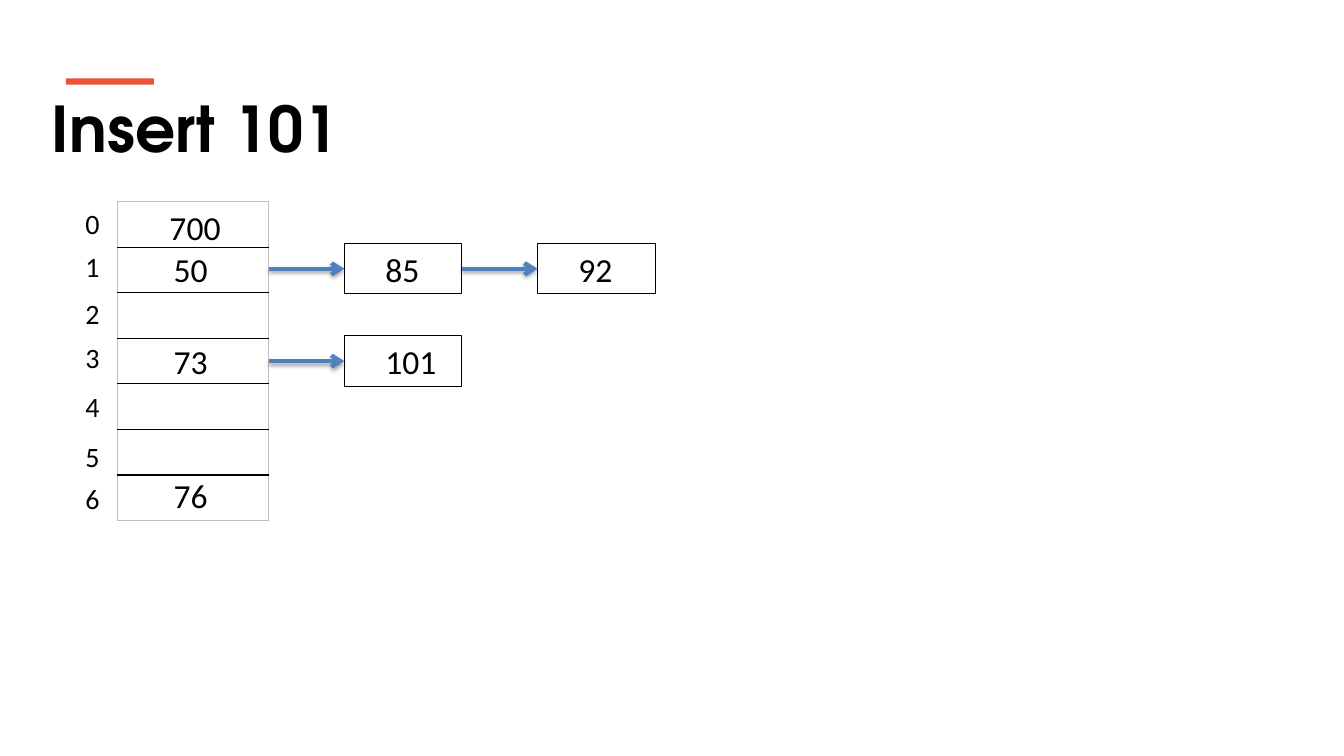
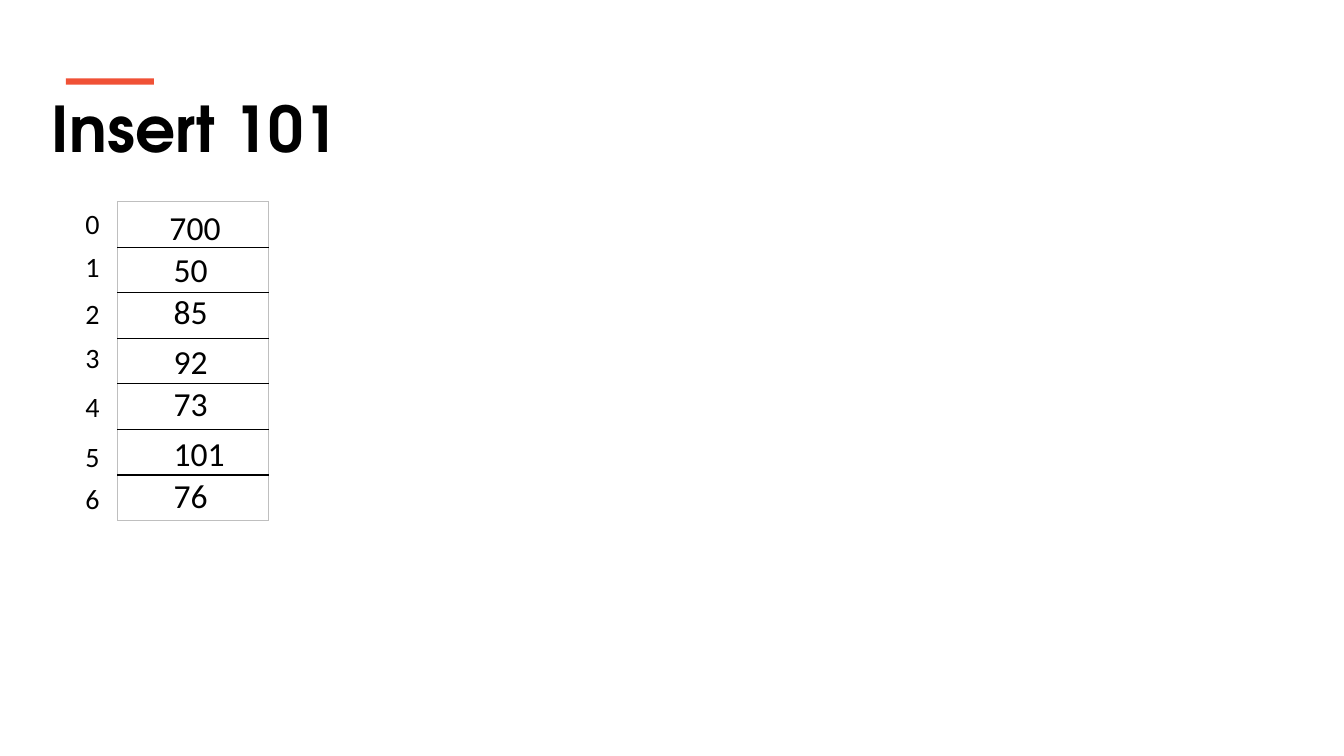
import dataclasses

import pptx
import pptx.dml.color
import pptx.enum.shapes
import pptx.enum.text
import pptx.oxml
import pptx.oxml.ns
import pptx.util

Pt = pptx.util.Pt
NAMESPACE = pptx.oxml.ns.nsdecls("a")


@dataclasses.dataclass(frozen=True)
class Theme:
    ink: str = "000000"
    accent: str = "F05136"
    arrow: str = "4F81BD"
    frame: str = "BFBFBF"
    title_font: str = "TeX Gyre Adventor"
    body_font: str = "Calibri"
    title_size: float = 45
    value_size: float = 24
    index_size: float = 20


THEME = Theme()
TITLE = {"name": THEME.title_font, "size": Pt(THEME.title_size), "bold": True}
VALUE = {"name": THEME.body_font, "size": Pt(THEME.value_size)}
INDEX = {"name": THEME.body_font, "size": Pt(THEME.index_size)}

PAGE_WIDTH, PAGE_HEIGHT = 960, 540
INSET = 7.2
DIGIT_WIDTH = 0.507
TABLE_LEFT, TABLE_TOP = 84, 144
SLOT_WIDTH, SLOT_HEIGHT = 108, 32.57
NODE_WIDTH, NODE_HEIGHT, ARROW_LENGTH = 84, 36, 54
NODE_INDENT = 22

# Tops are offsets from the top of the hash table.
INDEX_TOPS = (0, 31, 64.5, 96, 130.5, 166.5, 196.5)
VALUE_TOPS = (0, 30, 60, 96, 126, 162, 191.5)
VALUE_LEFTS = (30, 33, 33, 33, 33, 33, 33)

PAGES = (
    {
        "title": "Insert 101",
        "slots": ("700", "50", "", "73", "", "", "76"),
        "chains": {1: ("85", "92"), 3: ("101",)},
    },
    {
        "title": "Insert 101",
        "slots": ("700", "50", "85", "92", "73", "101", "76"),
        "chains": {},
    },
)


def apply_format(target, values):
    for name, value in values.items():
        setattr(target, name, value)


def color(code):
    return pptx.dml.color.RGBColor.from_string(code)


def write_text(shape, text, font, wrap=True, indent=0):
    apply_format(shape.text_frame, {
        "word_wrap": wrap,
        "vertical_anchor": pptx.enum.text.MSO_ANCHOR.TOP,
        "margin_left": Pt(INSET + indent),
    })
    para = shape.text_frame.paragraphs[0]
    para.alignment = pptx.enum.text.PP_ALIGN.LEFT
    span = para.add_run()
    span.text = text
    apply_format(span.font, font)
    span.font.color.rgb = color(THEME.ink)


def add_number(page, left, top, text, font):
    """Place a number in a box just wide enough for its digits."""
    size = font["size"].pt
    width = 2 * INSET + len(text) * size * DIGIT_WIDTH
    height = INSET + size * 1.22
    box = page.shapes.add_textbox(Pt(left), Pt(top), Pt(width), Pt(height))
    write_text(box, text, font, wrap=False)


def add_rectangle(page, left, top, width, height):
    shape = page.shapes.add_shape(
        pptx.enum.shapes.MSO_SHAPE.RECTANGLE,
        Pt(left), Pt(top), Pt(width), Pt(height))
    shape.shadow.inherit = False
    return shape


def add_heading(page, left, top, text):
    box = page.shapes.add_textbox(Pt(left), Pt(top), Pt(877), Pt(62))
    write_text(box, text, TITLE)
    bar = add_rectangle(page, left + 17, top - 4.5, 63, 4.5)
    bar.fill.solid()
    bar.fill.fore_color.rgb = color(THEME.accent)
    bar.line.fill.background()


def set_border(cell, side, code, width):
    cell._tc.get_or_add_tcPr().append(pptx.oxml.parse_xml(
        f'<a:{side} {NAMESPACE} w="{Pt(width)}"><a:solidFill>'
        f'<a:srgbClr val="{code}"/></a:solidFill></a:{side}>'))


def add_slot_table(page, left, top, count):
    frame = page.shapes.add_table(
        count, 1, Pt(left), Pt(top), Pt(SLOT_WIDTH), Pt(SLOT_HEIGHT * count))
    table = frame.table
    apply_format(table, {"first_row": False, "horz_banding": False})
    outer, inner = (THEME.frame, 0.75), (THEME.ink, 1)
    for number, row in enumerate(table.rows):
        row.height = Pt(SLOT_HEIGHT)
        cell = row.cells[0]
        borders = {
            "lnL": outer,
            "lnR": outer,
            "lnT": inner if number else outer,
            "lnB": inner if number < count - 1 else outer,
        }
        for side, (code, width) in borders.items():
            set_border(cell, side, code, width)
        cell.fill.background()


def add_arrow(page, left, middle):
    arrow = page.shapes.add_connector(
        pptx.enum.shapes.MSO_CONNECTOR.STRAIGHT,
        Pt(left), Pt(middle), Pt(left + ARROW_LENGTH), Pt(middle))
    arrow.line.color.rgb = color(THEME.arrow)
    arrow.line.width = Pt(3)
    arrow.line._get_or_add_ln().append(
        pptx.oxml.parse_xml(f'<a:tailEnd {NAMESPACE} type="arrow"/>'))
    arrow._element.spPr.append(pptx.oxml.parse_xml(
        f'<a:effectLst {NAMESPACE}><a:outerShdw blurRad="{Pt(3.1)}" '
        f'dist="{Pt(1.8)}" dir="5400000" rotWithShape="0">'
        f'<a:srgbClr val="{THEME.ink}"><a:alpha val="35000"/></a:srgbClr>'
        '</a:outerShdw></a:effectLst>'))


def add_chain(page, left, top, values):
    """Draw linked nodes, each led by an arrow, from the edge of a slot."""
    for number, value in enumerate(values):
        start = left + number * (ARROW_LENGTH + NODE_WIDTH)
        node = add_rectangle(
            page, start + ARROW_LENGTH, top, NODE_WIDTH, NODE_HEIGHT)
        node.fill.background()
        node.line.color.rgb = color(THEME.ink)
        node.line.width = Pt(0.75)
        write_text(node, value, VALUE, indent=NODE_INDENT)
        add_arrow(page, start, top + NODE_HEIGHT / 2)


def add_hash_table(page, left, top, slots, chains):
    add_slot_table(page, left, top, len(slots))
    for number, value in enumerate(slots):
        add_number(page, left - 30, top + INDEX_TOPS[number],
                   str(number), INDEX)
        if value:
            add_number(page, left + VALUE_LEFTS[number],
                       top + VALUE_TOPS[number], value, VALUE)
    for number, values in chains.items():
        add_chain(page, left + SLOT_WIDTH, top + VALUE_TOPS[number], values)


def main():
    deck = pptx.Presentation()
    apply_format(deck, {"slide_width": Pt(PAGE_WIDTH),
                        "slide_height": Pt(PAGE_HEIGHT)})
    for content in PAGES:
        page = deck.slides.add_slide(deck.slide_layouts[6])
        add_heading(page, 30, 60.5, content["title"])
        add_hash_table(page, TABLE_LEFT, TABLE_TOP,
                       content["slots"], content["chains"])
    deck.save("out.pptx")


if __name__ == "__main__":
    main()
